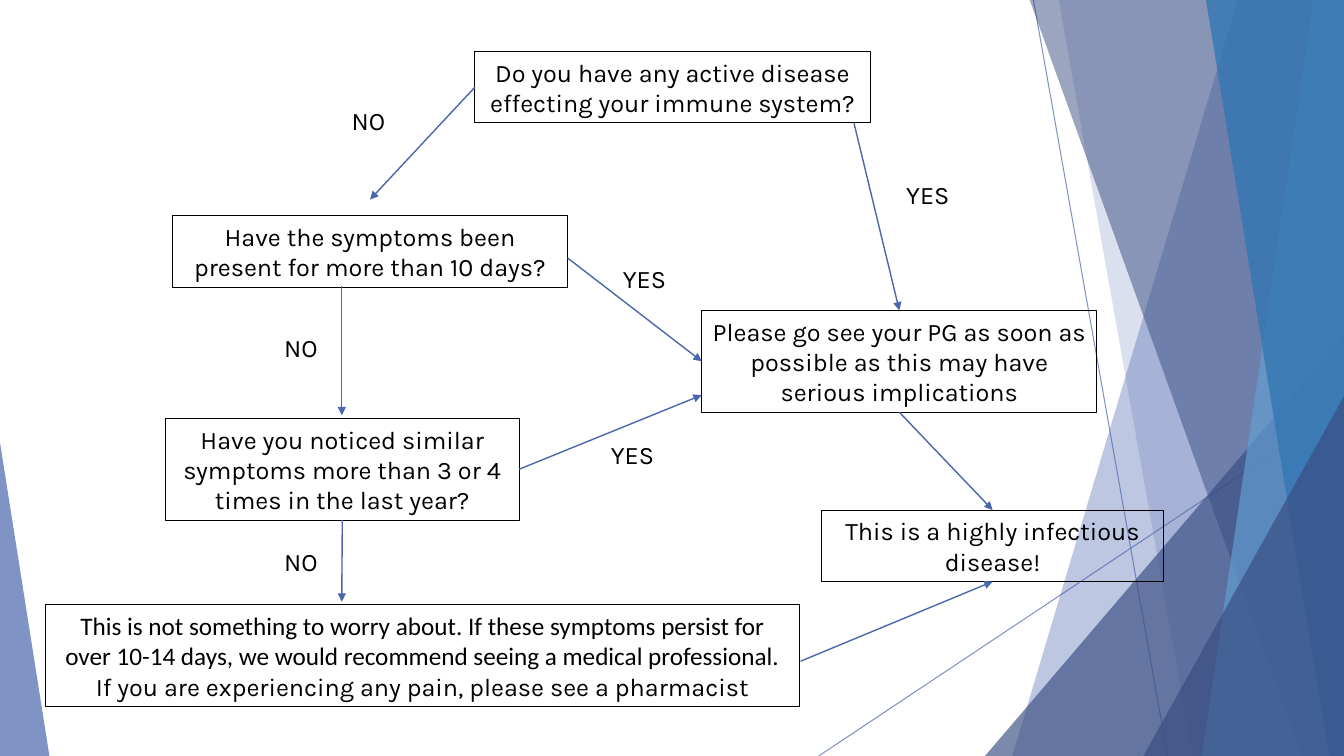
from lxml import etree
from pptx import Presentation
from pptx import util as u
from pptx.dml.color import RGBColor
from pptx.enum import shapes, text
from pptx.oxml.ns import qn

PX = 9144
W, H = 1333, 750
COLORS = {"blue": "4A66AC", "navy": "384C81", "sky": "629DD1",
          "ocean": "3477B2", "ink": "000000"}


def px(*values):
    return [u.Emu(v * PX) for v in values]


def paint(fill, color, alpha=100):
    fill.solid()
    fill.fore_color.rgb = RGBColor.from_string(COLORS[color])
    if alpha < 100:
        clr = fill._xPr.find(qn("a:solidFill"))[0]
        etree.SubElement(clr, qn("a:alpha")).set("val", str(alpha * 1000))


def add_facet(s, points, color, alpha):
    fb = s.shapes.build_freeform(*points[0], scale=float(PX))
    fb.add_line_segments(points[1:], close=True)
    sp = fb.convert_to_shape()
    finish_facet(sp, color, alpha)


def add_triangle(s, box, apex, color, alpha):
    sp = s.shapes.add_shape(shapes.MSO_SHAPE.ISOSCELES_TRIANGLE, *px(*box))
    sp.adjustments[0] = apex
    finish_facet(sp, color, alpha)


def finish_facet(sp, color, alpha):
    sp.shadow.inherit = False
    paint(sp.fill, color, alpha)
    sp.line.fill.background()


def add_line(s, start, end, width, alpha=100):
    cn = s.shapes.add_connector(shapes.MSO_CONNECTOR.STRAIGHT, *px(*start, *end))
    paint(cn.line.fill, "blue", alpha)
    cn.line.width = u.Pt(width)
    etree.SubElement(cn._element.spPr, qn("a:effectLst"))
    return cn


def add_arrow(s, start, end, source=None, target=None):
    cn = add_line(s, start, end, 1)
    etree.SubElement(cn.line._get_or_add_ln(), qn("a:tailEnd")).set("type", "triangle")
    if source:
        cn.begin_connect(*source)
    if target:
        cn.end_connect(*target)


def write(sp, paragraphs, align, anchor):
    tf = sp.text_frame
    tf.word_wrap = True
    tf.auto_size = text.MSO_AUTO_SIZE.SHAPE_TO_FIT_TEXT
    tf.vertical_anchor = anchor
    for i, (words, font) in enumerate(paragraphs):
        p = tf.paragraphs[0] if i == 0 else tf.add_paragraph()
        p.text = words
        p.alignment = align
        for r in p.runs:
            r.font.size = u.Pt(18)
            r.font.name = font
            r.font.color.rgb = RGBColor.from_string(COLORS["ink"])


def add_box(s, box, *paragraphs):
    sp = s.shapes.add_shape(shapes.MSO_SHAPE.RECTANGLE, *px(*box))
    sp.shadow.inherit = False
    sp.fill.background()
    paint(sp.line.fill, "ink")
    sp.line.width = u.Pt(0.75)
    write(sp, paragraphs, text.PP_ALIGN.CENTER, text.MSO_ANCHOR.MIDDLE)
    return sp


def add_label(s, x, y, words):
    sp = s.shapes.add_textbox(*px(x, y, 67, 40))
    write(sp, [(words, "Karla")], text.PP_ALIGN.LEFT, text.MSO_ANCHOR.TOP)


def add_backdrop(s):
    add_line(s, (1025, 0), (1158, H), 0.75, 70)
    add_line(s, (W, 403), (812, H), 0.75, 70)
    for top, bottom, color, alpha in [(1228, 1004, "blue", 36), (1050, 1183, "blue", 20)]:
        add_facet(s, [(top, -1), (W, -1), (W, H), (bottom, H)], color, alpha)
    add_triangle(s, (977, 333, 356, 417), 1, "navy", 66)
    for top, bottom, color, alpha in [(1021, 1291, "navy", 50), (1303, 1192, "sky", 70),
                                      (1196, 1318, "ocean", 80)]:
        add_facet(s, [(top, -1), (W, -1), (W, H), (bottom, H)], color, alpha)
    add_triangle(s, (1134, 393, 199, 357), 1, "navy", 66)
    add_triangle(s, (0, 439, 49, 311), 0, "blue", 70)


def add_flowchart(s):
    immune = add_box(s, (471, 51, 392, 71), (
        "Do you have any active disease effecting your immune system?", "Karla"))
    see_pg = add_box(s, (696, 308, 392, 101), (
        "Please go see your PG as soon as possible as this may have serious implications",
        "Karla"))
    add_box(s, (171, 214, 392, 71), (
        "Have the symptoms been present for more than 10 days?", "Karla"))
    recurring = add_box(s, (164, 415, 351, 101), (
        "Have you noticed similar symptoms more than 3 or 4 times in the last year?", "Karla"))
    add_box(s, (45, 600, 748, 101), (
        "This is not something to worry about. If these symptoms persist for over "
        "10-14 days, we would recommend seeing a medical professional.", "Calibri"),
        ("If you are experiencing any pain, please see a pharmacist", "Karla"))
    infectious = add_box(s, (815, 506, 339, 71), (
        "This is a highly infectious disease!", "Karla"))

    add_arrow(s, (471, 87), (367, 198), source=(immune, 1))
    add_arrow(s, (847, 122), (891, 308), target=(see_pg, 0))
    add_arrow(s, (339, 284), (339, 412))
    add_arrow(s, (563, 256), (696, 358), target=(see_pg, 1))
    add_arrow(s, (514, 466), (696, 392), source=(recurring, 3))
    add_arrow(s, (339, 516), (339, 597), source=(recurring, 2))
    add_arrow(s, (794, 656), (985, 576), target=(infectious, 2))
    add_arrow(s, (891, 409), (985, 506), source=(see_pg, 2), target=(infectious, 0))

    for x, y, words in [(339, 100, "NO"), (889, 173, "YES"), (272, 325, "NO"),
                        (608, 256, "YES"), (596, 431, "YES"), (272, 537, "NO")]:
        add_label(s, x, y, words)


def main():
    """Build the symptom decision flowchart slide."""
    prs = Presentation()
    prs.slide_width, prs.slide_height = px(W, H)
    s = prs.slides.add_slide(prs.slide_layouts[6])
    add_backdrop(s)
    add_flowchart(s)
    prs.save("out.pptx")


if __name__ == "__main__":
    main()
